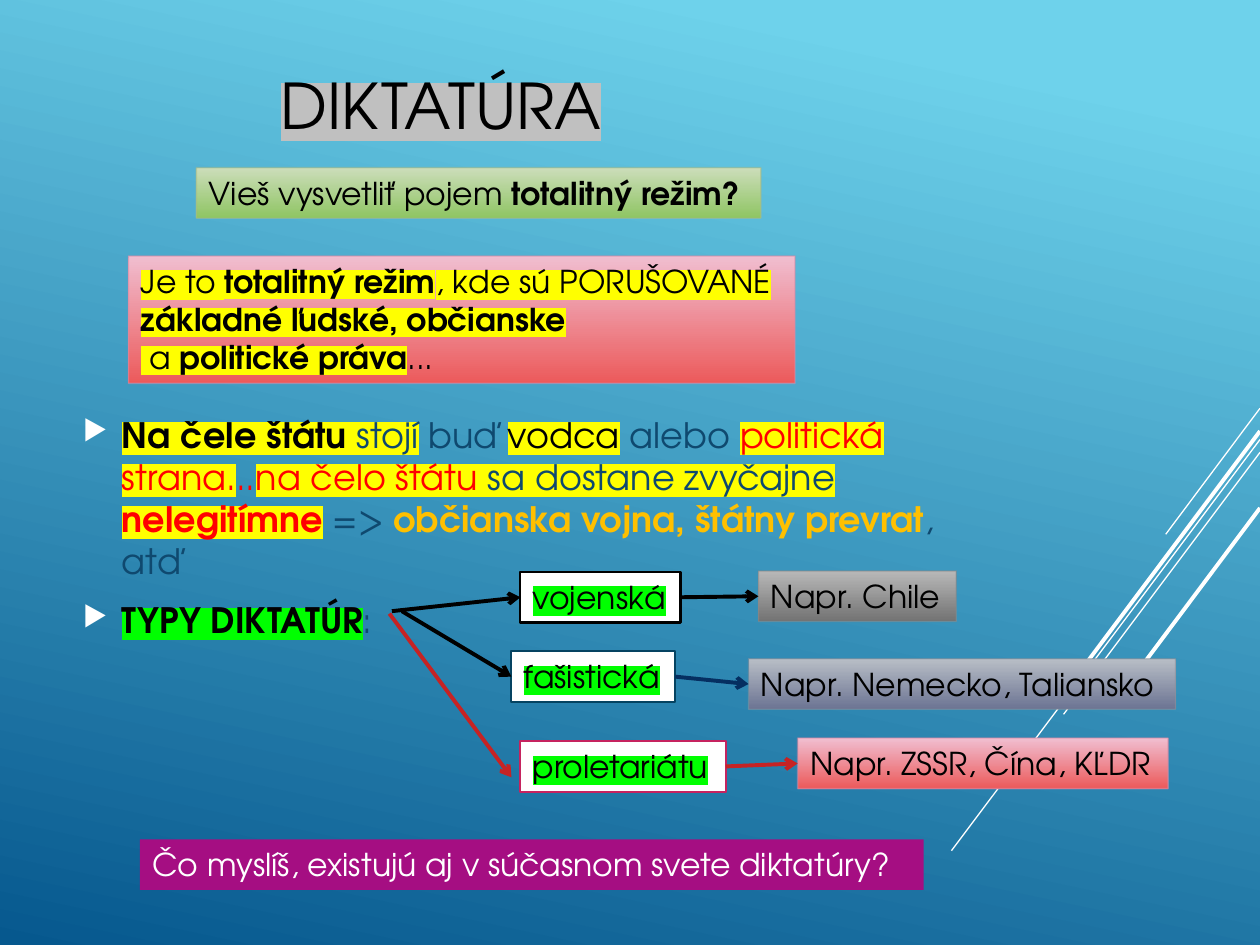
from lxml import etree
from pptx import Presentation
from pptx.dml.color import RGBColor
from pptx.enum.shapes import MSO_CONNECTOR, MSO_SHAPE
from pptx.enum.text import MSO_ANCHOR, PP_ALIGN
from pptx.oxml.ns import qn
from pptx.util import Cm, Pt

LINE, RECT = MSO_CONNECTOR.STRAIGHT, MSO_SHAPE.RECTANGLE
TOP, MIDDLE = MSO_ANCHOR.TOP, MSO_ANCHOR.MIDDLE
LEFT, CENTER = PP_ALIGN.LEFT, PP_ALIGN.CENTER
FONT = "TeX Gyre Adventor"
RIGHT_SIDE, LEFT_SIDE = 3, 1


def rgb(code):
    return RGBColor.from_string(code)


BLACK, WHITE = rgb("000000"), rgb("FFFFFF")
NAVY, RED, AMBER = rgb("0F496F"), rgb("FF0000"), rgb("FFC000")
YELLOW, LIME, SILVER = rgb("FFFF00"), rgb("00FF00"), rgb("C0C0C0")
BRICK, DEEP, TEAL = rgb("C62324"), rgb("052F61"), rgb("054361")
ROSE, PURPLE = rgb("C6235F"), rgb("A50E82")
SKY = (rgb("6ED2EB"), rgb("06588E"))
# Box styles: gradient top, gradient bottom, outline
PINK = (rgb("F0BED0"), rgb("EC5A5B"), rgb("D68BA6"))
SLATE = (rgb("B8BEC6"), rgb("6C7493"), rgb("89919C"))
GREY = (rgb("B8B8B8"), rgb("737373"), rgb("898989"))
GREEN = (rgb("CCDDBA"), rgb("8FC563"), rgb("A4BB8B"))

# Text: paragraphs of runs (words, colour, highlight, bold)
TITLE = [[("DIKTATÚRA", BLACK, SILVER, False)]]
ASK = [[("Vieš vysvetliť pojem ", BLACK, None, False),
        ("totalitný režim?", BLACK, None, True)]]
MEANING = [
    [("Je to ", BLACK, YELLOW, False),
     ("totalitný režim", BLACK, YELLOW, True),
     (", kde sú PORUŠOVANÉ", BLACK, YELLOW, False)],
    [("základné ľudské, občianske", BLACK, YELLOW, True)],
    [(" a ", BLACK, YELLOW, False),
     ("politické práva", BLACK, YELLOW, True),
     ("...", BLACK, None, False)],
]
BODY = [
    [("Na čele štátu ", BLACK, YELLOW, True),
     ("stojí", NAVY, YELLOW, False),
     (" buď ", NAVY, None, False),
     ("vodca", BLACK, YELLOW, False),
     (" alebo ", NAVY, None, False),
     ("politická", RED, YELLOW, False),
     (" ", RED, None, False),
     ("strana.", RED, YELLOW, False),
     ("..", RED, None, False),
     ("na čelo štátu", RED, YELLOW, False),
     (" sa dostane zvyčajne ", NAVY, YELLOW, False),
     ("nelegitímne", RED, YELLOW, True),
     (" => ", NAVY, None, False),
     ("občianska vojna, štátny prevrat", AMBER, None, True),
     (", atď", NAVY, None, False)],
    [("TYPY DIKTATÚR", BLACK, LIME, True),
     (":", NAVY, None, False)],
]
CLOSING = [[("Čo myslíš, existujú aj v súčasnom svete diktatúry?",
             WHITE, None, False)]]

# Types: name, (left, top, width), outline, arrow start, loose arrow end,
# first arrow colour, example, (left, top, width), style, second arrow colour
TYPES = [
    ("vojenská", (10.49, 11.53, 3.23), BLACK, (7.9, 12.32), None, BLACK,
     "Napr. Chile", (15.29, 11.51, 3.99), GREY, BLACK),
    ("fašistická", (10.31, 13.13, 3.3), TEAL, (8.1, 12.32), None, BLACK,
     "Napr. Nemecko, Taliansko", (15.09, 13.28, 8.61), SLATE, DEEP),
    ("proletariátu", (10.49, 14.94, 4.14), ROSE, (7.85, 12.37),
     (10.31, 15.67), BRICK,
     "Napr. ZSSR, Čína, KĽDR", (16.08, 14.88, 7.47), PINK, BRICK),
]
ROW = 1.02

# Slanted lines at the right edge: top, (end x, end y), width
RAYS = [
    (8.23, (23.5, 10.77), 0.75),
    (8.86, (19.18, 17.15), 0.75),
    (9.12, (21.44, 14.4), 0.75),
    (8.69, (21.77, 13.54), 2.25),
    (10.24, (22.76, 13.77), 2.25),
]


def sub(parent, tag, **attrs):
    return etree.SubElement(parent, qn(tag), attrs)


def shade(fill, colors, angle, first=0):
    fill.gradient()
    fill.gradient_angle = angle
    for stop, color, place in zip(fill.gradient_stops, colors, (first, 1)):
        stop.color.rgb = color
        stop.position = place


def write(shape, paras, size=18, align=LEFT, anchor=TOP, bullet=False):
    frame = shape.text_frame
    frame.word_wrap = True
    frame.vertical_anchor = anchor
    for i, runs in enumerate(paras):
        para = frame.add_paragraph() if i else frame.paragraphs[0]
        para.alignment = align
        if bullet:
            props = para._p.get_or_add_pPr()
            props.set("marL", str(Cm(0.79)))
            props.set("indent", str(-Cm(0.79)))
            sub(sub(props, "a:buClr"), "a:srgbClr", val=str(WHITE))
            sub(props, "a:buSzPct", val="80000")
            sub(props, "a:buChar", char="▶")
            para.space_after = Pt(6)
            if i:
                para.space_before = Pt(size * 0.2)
        for words, color, mark, bold in runs:
            run = para.add_run()
            run.text = words
            font = run.font
            font.size, font.bold = Pt(size), bold
            font.color.rgb = color
            if mark is not None:
                light = sub(run._r.get_or_add_rPr(), "a:highlight")
                sub(light, "a:srgbClr", val=str(mark))
            font.name = FONT


def box(shapes, paras, place, height=ROW, fill=WHITE, edge=None):
    left, top, width = place
    shape = shapes.add_shape(RECT, Cm(left), Cm(top), Cm(width), Cm(height))
    shape.shadow.inherit = False
    if isinstance(fill, RGBColor):
        shape.fill.solid()
        shape.fill.fore_color.rgb = fill
        if edge is None:
            shape.line.fill.background()
        else:
            shape.line.color.rgb = edge
            shape.line.width = Pt(1.25)
    else:
        shade(shape.fill, fill[:2], 270)
        shape.line.color.rgb = fill[2]
        shape.line.width = Pt(0.75)
        tint = shape.line._ln.find(".//" + qn("a:srgbClr"))
        sub(tint, "a:alpha", val="60000")
    write(shape, paras)
    return shape


def line(shapes, start, end, color, width=2.25, arrow=True):
    wire = shapes.add_connector(LINE, *map(Cm, start + end))
    wire.line.color.rgb = color
    wire.line.width = Pt(width)
    if arrow:
        sub(wire.line._ln, "a:tailEnd", type="arrow")
    sub(wire._element.spPr, "a:effectLst")
    return wire


def main():
    deck = Presentation()
    deck.slide_width, deck.slide_height = Cm(25.4), Cm(19.05)
    slide = deck.slides.add_slide(deck.slide_layouts[6])
    shapes = slide.shapes

    # Backdrop
    shade(slide.background.fill, SKY, 258, first=0.1)
    rays = shapes.add_group_shape()
    for top, end, width in RAYS:
        line(rays.shapes, (25.4, top), end, WHITE, width, arrow=False)

    # Title and bullets
    title = shapes.add_textbox(0, 0, Cm(17.78), Cm(4.19))
    write(title, TITLE, size=36, align=CENTER, anchor=MIDDLE)
    body = shapes.add_textbox(Cm(1.42), Cm(5.61), Cm(17.78), Cm(10.03))
    write(body, BODY, size=20, anchor=MIDDLE, bullet=True)

    # Types, each with its example
    for (name, place, edge, start, loose, ink,
         sample, spot, style, tone) in TYPES:
        kind = box(shapes, [[(name, BLACK, LIME, False)]], place, edge=edge)
        case = box(shapes, [[(sample, BLACK, None, False)]], spot, fill=style)
        wire = line(shapes, start, loose or place[:2], ink)
        if loose is None:
            wire.end_connect(kind, LEFT_SIDE)
        link = line(shapes, place[:2], spot[:2], tone)
        link.begin_connect(kind, RIGHT_SIDE)
        link.end_connect(case, LEFT_SIDE)

    # Question, meaning and closing
    box(shapes, MEANING, (2.59, 5.16, 13.44), height=2.57, fill=PINK)
    box(shapes, ASK, (3.96, 3.38, 11.38), fill=GREEN)
    box(shapes, CLOSING, (2.82, 16.92, 15.8), fill=PURPLE)

    deck.save("out.pptx")


if __name__ == "__main__":
    main()
